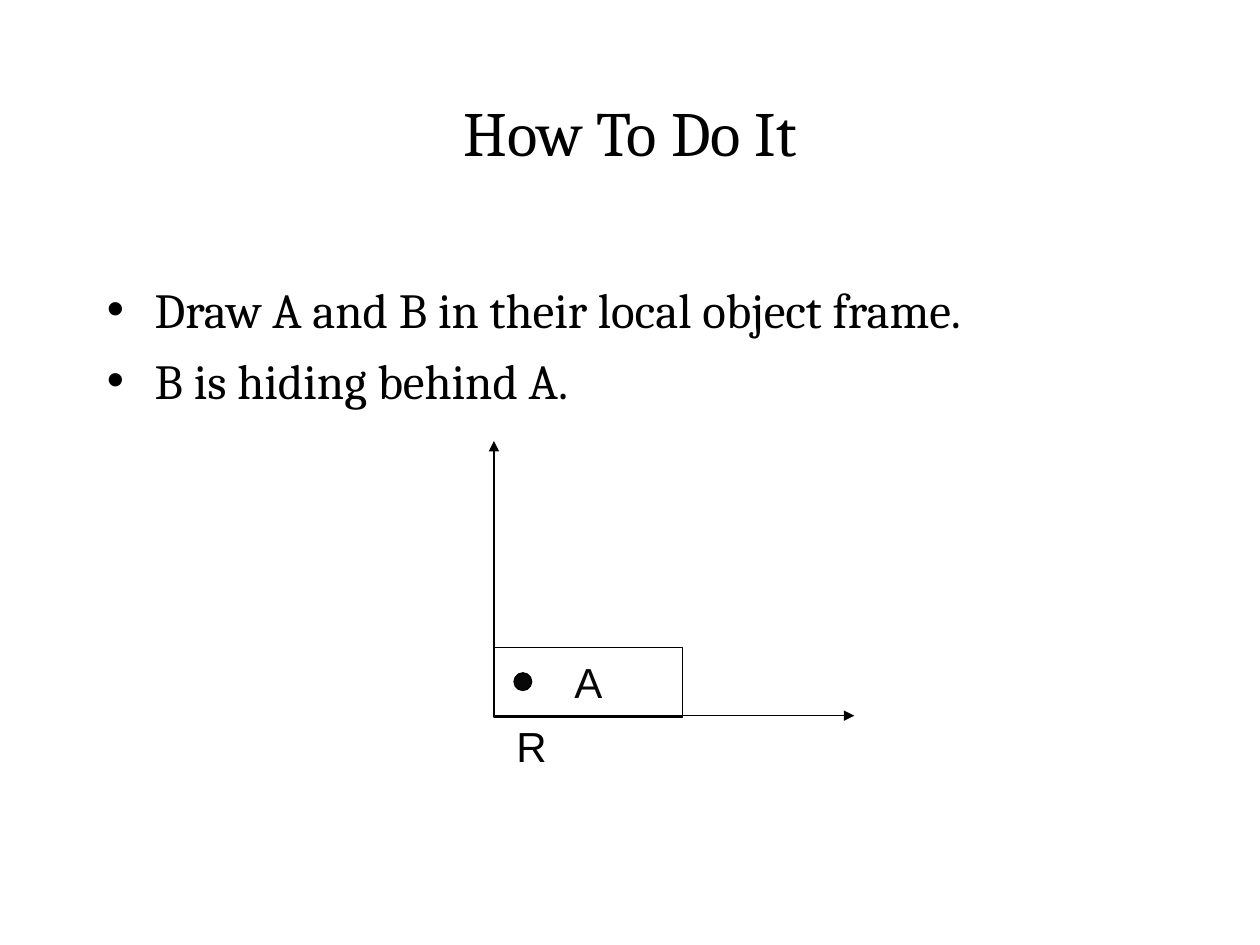
import pptx
import pptx.dml.color
import pptx.enum.shapes
import pptx.enum.text
import pptx.oxml.ns
import pptx.util
from lxml import etree

Inches = pptx.util.Inches
Pt = pptx.util.Pt
SHAPE = pptx.enum.shapes.MSO_SHAPE
ANCHOR = pptx.enum.text.MSO_ANCHOR
ALIGN = pptx.enum.text.PP_ALIGN
qn = pptx.oxml.ns.qn

BLACK = "000000"
SOFT = "080808"
LEFT, BASE = 3.92, 5.68  # where the two axes meet


def color(code):
    return pptx.dml.color.RGBColor.from_string(code)


def style(para, font, size, code):
    for run in para.runs:
        run.font.name = font
        run.font.size = Pt(size)
        run.font.color.rgb = color(code)


def place(shape, left, top, width, height):
    shape.left, shape.top = Inches(left), Inches(top)
    shape.width, shape.height = Inches(width), Inches(height)


def add_title(slide, text):
    title = slide.shapes.title
    place(title, 0.75, 0.42, 8.5, 1.25)
    frame = title.text_frame
    frame.text = text
    frame.vertical_anchor = ANCHOR.MIDDLE
    frame.paragraphs[0].alignment = ALIGN.CENTER
    style(frame.paragraphs[0], "Cambria", 36, BLACK)


def add_box(slide, left, top, width, height):
    return slide.shapes.add_textbox(
        Inches(left), Inches(top), Inches(width), Inches(height)).text_frame


def add_list(slide, items):
    frame = add_box(slide, 0.75, 2.17, 8.5, 4.5)
    frame.word_wrap = True
    frame.text = "\n".join(items)
    for para in frame.paragraphs:
        para.space_before = Pt(7)
        props = para._p.get_or_add_pPr()
        props.set("marL", str(Inches(0.38)))
        props.set("indent", str(-Inches(0.38)))
        etree.SubElement(props, qn("a:buFont"), typeface="Arial")
        etree.SubElement(props, qn("a:buChar"), char="•")
        style(para, "Cambria", 28, BLACK)


def add_axis(slide, right, top):
    """Draw an arrow from the corner of the frame to the given point."""
    axis = slide.shapes.add_connector(
        pptx.enum.shapes.MSO_CONNECTOR.STRAIGHT,
        Inches(LEFT), Inches(BASE), Inches(right), Inches(top))
    axis.line.color.rgb = color(BLACK)
    axis.line.width = Pt(0.75)
    etree.SubElement(axis.line._get_or_add_ln(), qn("a:tailEnd"), type="triangle")
    etree.SubElement(axis._element.spPr, qn("a:effectLst"))


def add_shape(slide, kind, left, top, width, height, fill=None):
    shape = slide.shapes.add_shape(
        kind, Inches(left), Inches(top), Inches(width), Inches(height))
    shape.shadow.inherit = False
    shape.line.color.rgb = color(BLACK)
    shape.line.width = Pt(0.75)
    if fill:
        shape.fill.solid()
        shape.fill.fore_color.rgb = color(fill)
    else:
        shape.fill.background()


def add_label(slide, text, left, top, width, code):
    frame = add_box(slide, left, top, width, 0.5)
    frame.word_wrap = False
    frame.vertical_anchor = ANCHOR.MIDDLE
    frame.text = text
    frame.paragraphs[0].space_before = Pt(6)
    style(frame.paragraphs[0], "Arial", 24, code)


def main():
    deck = pptx.Presentation()
    deck.slide_width, deck.slide_height = Inches(10), Inches(7.5)
    slide = deck.slides.add_slide(deck.slide_layouts[5])
    add_title(slide, "How To Do It")
    add_list(slide, ["Draw A and B in their local object frame.",
                     "B is hiding behind A."])
    add_axis(slide, 6.78, BASE)
    add_axis(slide, LEFT, 3.5)
    add_shape(slide, SHAPE.RECTANGLE, LEFT, 5.14, 1.5, 0.55)
    add_shape(slide, SHAPE.OVAL, 4.08, 5.34, 0.14, 0.14, SOFT)
    add_label(slide, "R", 4, 5.67, 0.44, BLACK)
    add_label(slide, "A", 4.46, 5.16, 0.42, SOFT)
    deck.save("out.pptx")


if __name__ == "__main__":
    main()
